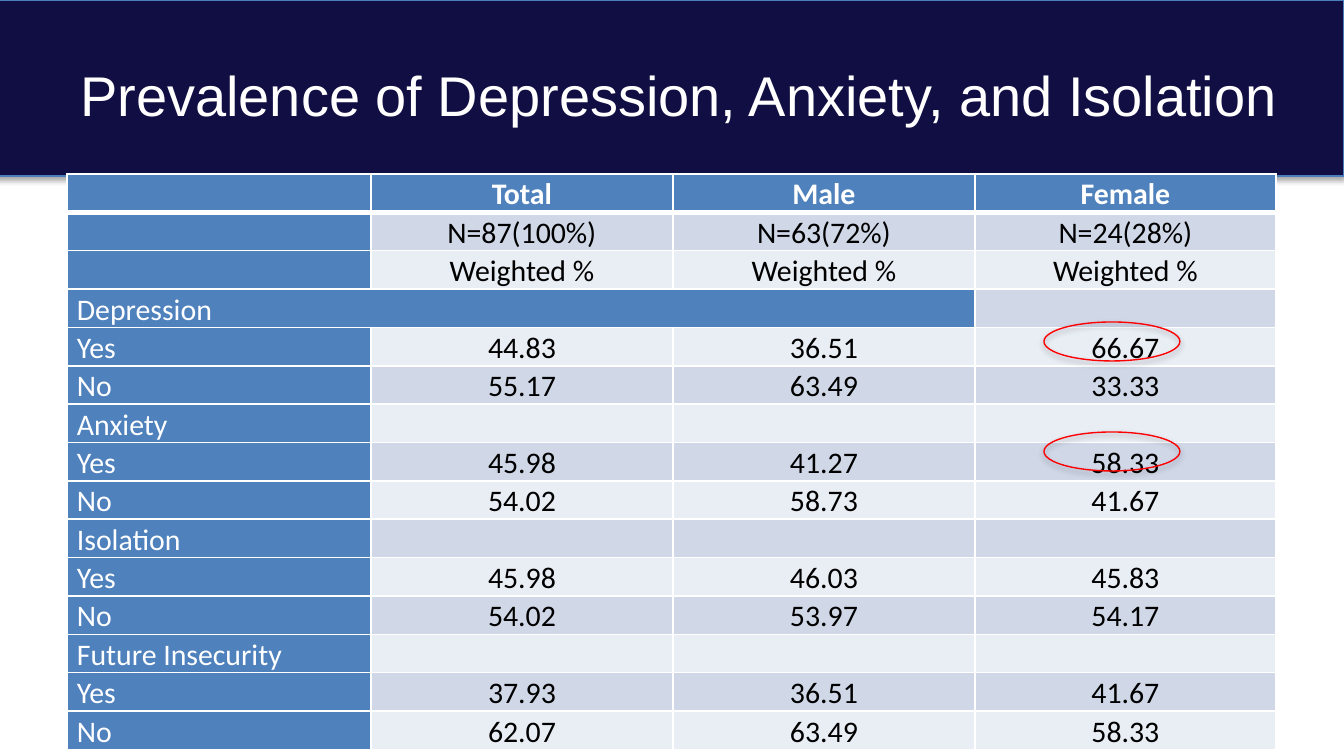
import pptx
import pptx.util
import pptx.dml.color
import pptx.enum.shapes
import pptx.enum.text
import pptx.oxml
import pptx.oxml.ns

PX = 914400 / 134.4  # EMU in one px
THEME = {
    "navy": "100E42", "edge": "4B7EBC", "head": "4F81BD",
    "bands": ("E9EDF4", "D0D8E8"), "white": "FFFFFF", "black": "000000",
    "ring": "FF0000", "title_font": "Arial", "table_font": "Calibri",
    "title_size": 30, "table_size": 16,
}
NS = pptx.oxml.ns.nsdecls("a")
Pt = pptx.util.Pt
rgb = pptx.dml.color.RGBColor.from_string
SHAPE = pptx.enum.shapes.MSO_SHAPE
ALIGN = pptx.enum.text.PP_ALIGN
MIDDLE = pptx.enum.text.MSO_ANCHOR.MIDDLE


def px(*lengths):
    return [round(n * PX) for n in lengths]


def add_shadowed(kind, box, line):
    sp = s.shapes.add_shape(kind, *px(*box))
    sp.line.color.rgb = rgb(line)
    sp.line.width = Pt(0.75)
    sp.fill.background()
    sp._element.spPr.append(pptx.oxml.parse_xml(
        f'<a:effectLst {NS}><a:outerShdw blurRad="40000" dist="23000" dir="5400000" '
        f'rotWithShape="0"><a:srgbClr val="{THEME["black"]}"><a:alpha val="35000"/>'
        '</a:srgbClr></a:outerShdw></a:effectLst>'))
    return sp


prs = pptx.Presentation()
prs.slide_width, prs.slide_height = px(1344, 756)
s = prs.slides.add_slide(prs.slide_layouts[6])

# Title band
band = add_shadowed(SHAPE.RECTANGLE, (-5, 0, 1349, 176), THEME["edge"])
band.fill.solid()
band.fill.fore_color.rgb = rgb(THEME["navy"])

# Title
tf = s.shapes.add_textbox(*px(67, 31, 1258, 126)).text_frame
tf.word_wrap = True
tf.vertical_anchor = MIDDLE
tf.text = "Prevalence of Depression, Anxiety, and Isolation"
r = tf.paragraphs[0].runs[0]
r.font.name = THEME["title_font"]
r.font.size = Pt(THEME["title_size"])
r.font.color.rgb = rgb(THEME["white"])

# Prevalence table
rows = [
    ("", "Total", "Male", "Female"),
    ("", "N=87(100%)", "N=63(72%)", "N=24(28%)"),
    ("", "Weighted %", "Weighted %", "Weighted %"),
    ("Depression", "", "", ""),
    ("Yes", "44.83", "36.51", "66.67"),
    ("No", "55.17", "63.49", "33.33"),
    ("Anxiety", "", "", ""),
    ("Yes", "45.98", "41.27", "58.33"),
    ("No", "54.02", "58.73", "41.67"),
    ("Isolation", "", "", ""),
    ("Yes", "45.98", "46.03", "45.83"),
    ("No", "54.02", "53.97", "54.17"),
    ("Future Insecurity", "", "", ""),
    ("Yes", "37.93", "36.51", "41.67"),
    ("No", "62.07", "63.49", "58.33"),
]
row_height = 34
table = s.shapes.add_table(len(rows), 4, *px(67, 174, 1209, row_height * len(rows))).table
table.first_row = table.horz_banding = False
for column, width in zip(table.columns, px(304, 302, 302, 301)):
    column.width = width
for i, values in enumerate(rows):
    table.rows[i].height = px(row_height)[0]
    for j, value in enumerate(values):
        cell = table.cell(i, j)
        is_head = i == 0 or j == 0
        cell.vertical_anchor = MIDDLE
        cell.margin_left, cell.margin_right = px(10, 10)
        cell.margin_top = cell.margin_bottom = 0
        cell.text = value
        p = cell.text_frame.paragraphs[0]
        p.alignment = ALIGN.CENTER if j else ALIGN.LEFT
        p.line_spacing = 1.07
        p.space_after = Pt(8)
        for r in p.runs:
            r.font.name = THEME["table_font"]
            r.font.size = Pt(THEME["table_size"])
            r.font.bold = i == 0
            r.font.color.rgb = rgb(THEME["white" if is_head else "black"])
        if not value:  # keeps empty cells from stretching the row
            p._p.get_or_add_endParaRPr().set("sz", str(THEME["table_size"] * 100))
        # Borders come before the fill in the cell properties
        tcPr = cell._tc.get_or_add_tcPr()
        for side in "LRTB":
            heavy = (i == 0 and side == "B") or (i == 1 and side == "T")
            tcPr.append(pptx.oxml.parse_xml(
                f'<a:ln{side} {NS} w="{Pt(3 if heavy else 1)}"><a:solidFill>'
                f'<a:srgbClr val="{THEME["white"]}"/></a:solidFill></a:ln{side}>'))
        cell.fill.solid()
        cell.fill.fore_color.rgb = rgb(THEME["head"] if is_head else THEME["bands"][i % 2])
table.cell(3, 0).merge(table.cell(3, 2))

# Rings around the highest female rates
for top in (322, 432):
    add_shadowed(SHAPE.OVAL, (1044, top, 136, 39), THEME["ring"])

prs.save("out.pptx")
